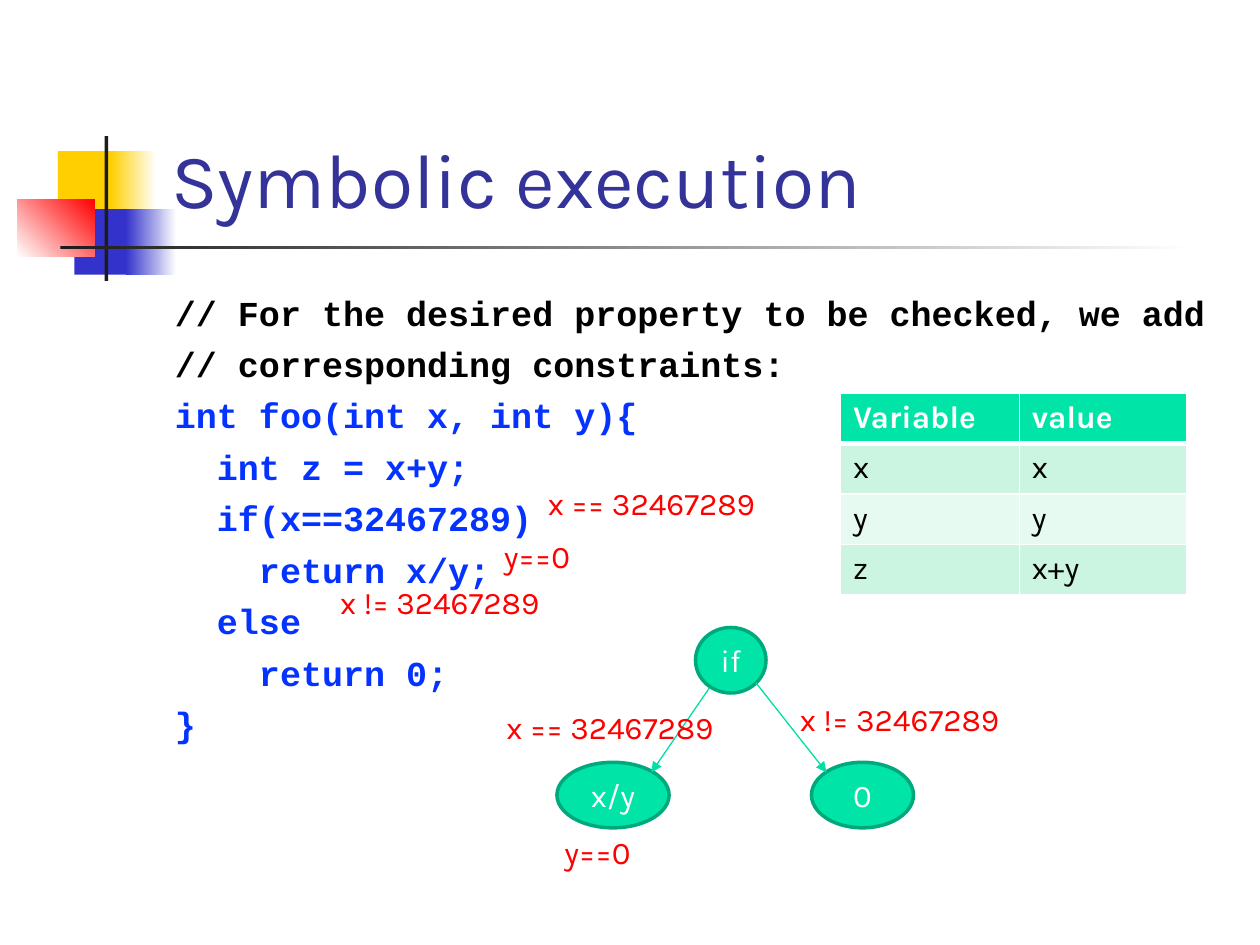
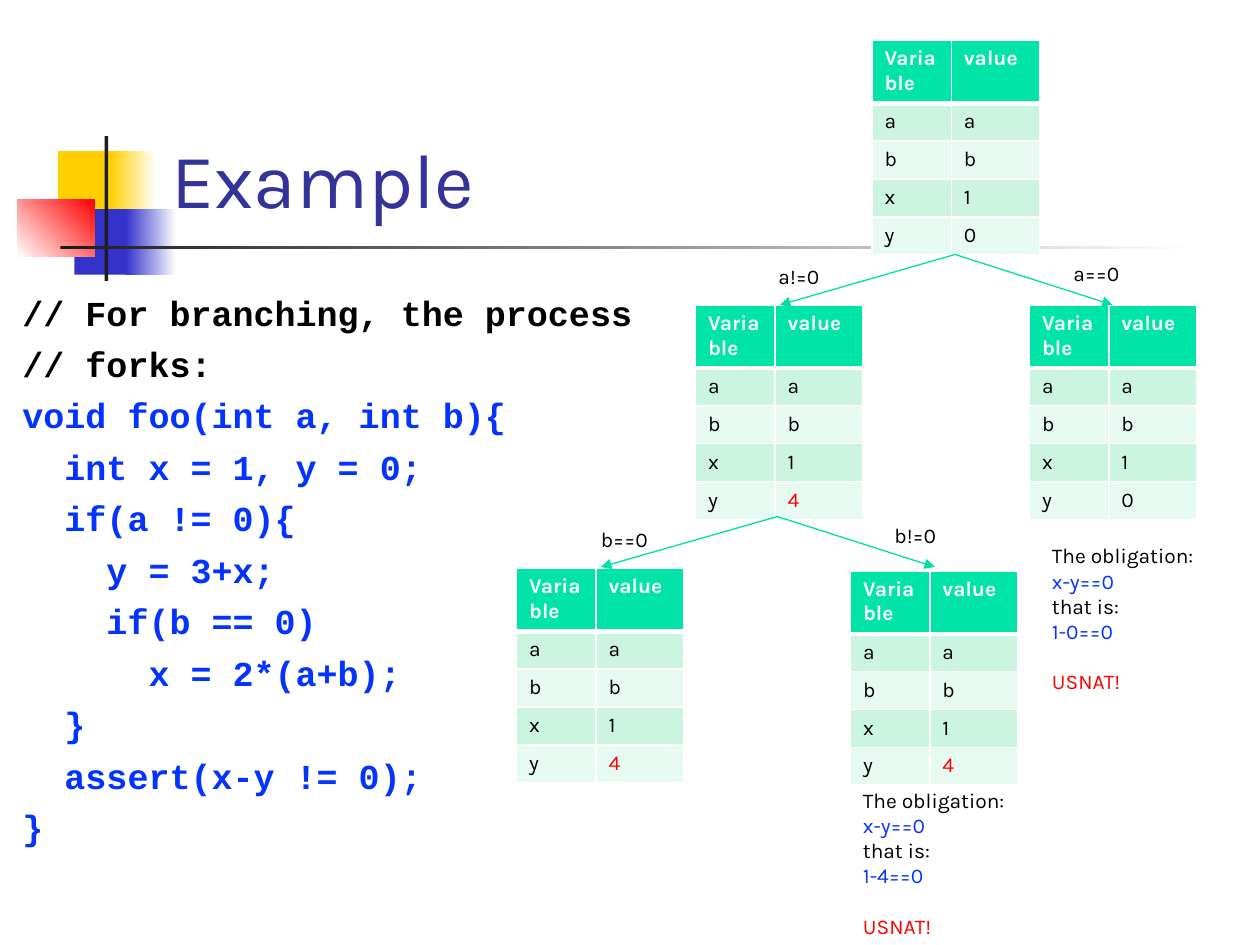
from dataclasses import dataclass

from lxml import etree
from pptx import Presentation
from pptx import util as u
from pptx.dml.color import RGBColor
from pptx.enum import shapes, text
from pptx.oxml.ns import qn


@dataclass(frozen=True)
class Theme:
    font: str = "Karla"
    code_font: str = "Courier New"
    title_size: float = 44
    code_size: float = 20
    large: float = 18
    small: float = 12
    code_gap: float = 5.4
    title: str = "333399"
    black: str = "000000"
    white: str = "FFFFFF"
    code: str = "0432FF"
    red: str = "FF0000"
    yellow: str = "FFCF01"
    blue: str = "3333CC"
    dark: str = "1C1C1C"
    green: str = "00E4A8"
    outline: str = "00A97C"
    arrow: str = "00DFA4"
    band: str = "CCF5E1"
    pale_band: str = "E7FAF1"


THEME = Theme()
ROW_HEIGHT = 0.3
STATE_COLUMNS = [0.63, 0.7]


def rgb(colour):
    return RGBColor.from_string(colour)


def inches(*lengths):
    return [u.Inches(length) for length in lengths]


def add_run(paragraph, words, size, colour, font=THEME.font, bold=False):
    run = paragraph.add_run()
    run.text = words
    run.font.name = font
    run.font.size = u.Pt(size)
    run.font.bold = bold
    run.font.color.rgb = rgb(colour)


def add_text(slide, box, lines, size, font=THEME.font, bold=False, gap=0):
    """Add a wrapped text box; lines holds (words, colour) pairs."""
    shape = slide.shapes.add_textbox(*inches(*box))
    frame = shape.text_frame
    frame.word_wrap = True
    for index, (words, colour) in enumerate(lines):
        paragraph = frame.add_paragraph() if index else frame.paragraphs[0]
        if index and gap:
            paragraph.space_before = u.Pt(gap)
        add_run(paragraph, words, size, colour, font, bold)
    return frame


def add_band(slide, box, start, end=None, angle=0):
    """Add a plain rectangle, or one fading from start to end."""
    shape = slide.shapes.add_shape(shapes.MSO_SHAPE.RECTANGLE, *inches(*box))
    shape.shadow.inherit = False
    shape.line.fill.background()
    if end is None:
        shape.fill.solid()
        shape.fill.fore_color.rgb = rgb(start)
        return
    shape.fill.gradient()
    shape.fill.gradient_angle = angle
    for stop, colour in zip(shape.fill.gradient_stops, (start, end)):
        stop.color.rgb = rgb(colour)


def add_titled_slide(presentation, title):
    slide = presentation.slides.add_slide(presentation.slide_layouts[6])
    add_band(slide, (0.46, 1.2, 0.48, 0.52), THEME.yellow)
    add_band(slide, (0.88, 1.2, 0.36, 0.52), THEME.yellow, THEME.white)
    add_band(slide, (0.59, 1.66, 0.46, 0.52), THEME.blue)
    add_band(slide, (1, 1.66, 0.4, 0.52), THEME.blue, THEME.white)
    add_band(slide, (0.14, 1.58, 0.61, 0.46), THEME.white, THEME.red, 45)
    add_band(slide, (0.83, 1.08, 0.03, 1.15), THEME.dark)
    add_band(slide, (0.48, 1.95, 9, 0.03), THEME.dark, THEME.white)
    frame = add_text(slide, (1.26, 0.23, 8.52, 1.6), [(title, THEME.title)],
                     THEME.title_size)
    frame.vertical_anchor = text.MSO_ANCHOR.BOTTOM
    return slide


def add_code(slide, left, listing):
    """Add a code listing with its comment lines in black."""
    lines = [(line, THEME.black if line.startswith("//") else THEME.code)
             for line in listing.strip().splitlines()]
    frame = add_text(slide, (left, 2.21, 8.5, 4.5), lines, THEME.code_size,
                     THEME.code_font, True, THEME.code_gap)
    frame.margin_top = u.Inches(0.1)


def add_label(slide, left, top, words, size, colour, width, height):
    frame = add_text(slide, (left, top, width, height), [(words, colour)], size)
    frame.auto_size = text.MSO_AUTO_SIZE.SHAPE_TO_FIT_TEXT


def add_constraint(slide, left, top, words):
    add_label(slide, left, top, words, THEME.large, THEME.red, 2.75, 0.4)


def add_branch_label(slide, left, top, words):
    add_label(slide, left, top, words, THEME.small, THEME.black, 1.25, 0.3)


def add_obligation(slide, left, top, result):
    lines = [("The obligation:", THEME.black), ("x-y==0", THEME.code),
             ("that is:", THEME.black), (result, THEME.code)]
    frame = add_text(slide, (left, top, 1.52, 0.91), lines, THEME.small)
    frame.auto_size = text.MSO_AUTO_SIZE.SHAPE_TO_FIT_TEXT
    add_label(slide, left, top + 1, "USNAT!", THEME.small, THEME.red, 1.52, 0.3)


def add_node(slide, box, words):
    shape = slide.shapes.add_shape(shapes.MSO_SHAPE.OVAL, *inches(*box))
    shape.shadow.inherit = False
    shape.fill.solid()
    shape.fill.fore_color.rgb = rgb(THEME.green)
    shape.line.color.rgb = rgb(THEME.outline)
    shape.line.width = u.Pt(2)
    shape.text_frame.vertical_anchor = text.MSO_ANCHOR.MIDDLE
    paragraph = shape.text_frame.paragraphs[0]
    paragraph.alignment = text.PP_ALIGN.CENTER
    add_run(paragraph, words, THEME.large, THEME.white)


def add_arrow(slide, start, end):
    connector = slide.shapes.add_connector(
        shapes.MSO_CONNECTOR.STRAIGHT, *inches(*start, *end))
    connector.line.color.rgb = rgb(THEME.arrow)
    connector.line.width = u.Pt(0.75)
    properties = connector.element.spPr
    etree.SubElement(properties.find(qn("a:ln")), qn("a:tailEnd"), type="triangle")
    etree.SubElement(properties, qn("a:effectLst"))


def set_borders(cell, row):
    """Draw white borders, thicker between the header and the first row."""
    top, bottom = (3 if row == 1 else 1), (3 if row == 0 else 1)
    properties = cell._tc.get_or_add_tcPr()
    for side, width in (("L", 1), ("R", 1), ("T", top), ("B", bottom)):
        line = etree.SubElement(properties, qn(f"a:ln{side}"), w=str(u.Pt(width)))
        fill = etree.SubElement(line, qn("a:solidFill"))
        etree.SubElement(fill, qn("a:srgbClr"), val=THEME.white)


def add_variables(slide, left, top, values, columns, heights, size, changed=()):
    """Add a table of variable values; those named in changed are red."""
    rows = [("Variable", "value"), *values.items()]
    header_height, row_height = heights
    total = header_height + row_height * len(values)
    table = slide.shapes.add_table(
        len(rows), 2, *inches(left, top, sum(columns), total)).table
    table.horz_banding = False
    for column, width in zip(table.columns, columns):
        column.width = u.Inches(width)
    for index, row in enumerate(rows):
        header = index == 0
        table.rows[index].height = u.Inches(header_height if header else row_height)
        band = THEME.band if index % 2 else THEME.pale_band
        for column, words in enumerate(row):
            cell = table.cell(index, column)
            set_borders(cell, index)
            cell.fill.solid()
            cell.fill.fore_color.rgb = rgb(THEME.green if header else band)
            colour = THEME.white if header else THEME.black
            if column == 1 and row[0] in changed:
                colour = THEME.red
            add_run(cell.text_frame.paragraphs[0], words, size, colour, bold=header)


def add_state(slide, left, top, y, changed=()):
    values = {"a": "a", "b": "b", "x": "1", "y": y}
    add_variables(slide, left, top, values, STATE_COLUMNS, (0.48, ROW_HEIGHT),
                  THEME.small, changed)


def build_symbolic_execution(presentation):
    slide = add_titled_slide(presentation, "Symbolic execution")
    add_code(slide, 1.29, """
// For the desired property to be checked, we add
// corresponding constraints:
int foo(int x, int y){
  int z = x+y;
  if(x==32467289)
    return x/y;
  else
    return 0;
}
""")
    add_variables(slide, 6.67, 3.12, {"x": "x", "y": "y", "z": "x+y"},
                  [1.42, 1.33], (0.4, 0.4), THEME.large)
    for box, words in (((5.52, 4.98, 0.56, 0.52), "if"),
                       ((4.42, 6.05, 0.89, 0.52), "x/y"),
                       ((6.44, 6.05, 0.81, 0.52), "0")):
        add_node(slide, box, words)
    add_arrow(slide, (5.63, 5.46), (5.17, 6.13))
    add_arrow(slide, (6, 5.42), (6.56, 6.13))
    for left, top, words in ((4.25, 3.79, "x == 32467289"),
                             (2.6, 4.58, "x != 32467289"),
                             (3.92, 5.57, "x == 32467289"),
                             (6.25, 5.51, "x != 32467289"),
                             (3.9, 4.21, "y==0"),
                             (4.38, 6.56, "y==0")):
        add_constraint(slide, left, top, words)


def build_forking_example(presentation):
    slide = add_titled_slide(presentation, "Example")
    add_code(slide, 0.08, """
// For branching, the process
// forks:
void foo(int a, int b){
  int x = 1, y = 0;
  if(a != 0){
    y = 3+x;
    if(b == 0)
      x = 2*(a+b);
  }
  assert(x-y != 0);
}
""")
    add_state(slide, 6.92, 0.32, "0")
    add_state(slide, 8.17, 2.42, "0")
    for left, top in ((5.52, 2.42), (4.1, 4.51), (6.75, 4.53)):
        add_state(slide, left, top, "4", changed=("y",))
    for fork, ends in (((7.58, 2.02), ((6.19, 2.42), (8.83, 2.42))),
                       ((6.17, 4.1), ((4.77, 4.5), (7.42, 4.5)))):
        for end in ends:
            add_arrow(slide, fork, end)
    for left, top, words in ((8.42, 2.02, "a==0"), (6.08, 2.04, "a!=0"),
                             (7, 4.1, "b!=0"), (4.67, 4.13, "b==0")):
        add_branch_label(slide, left, top, words)
    add_obligation(slide, 8.25, 4.26, "1-0==0")
    add_obligation(slide, 6.75, 6.2, "1-4==0")


def main():
    presentation = Presentation()
    presentation.slide_width = u.Inches(10)
    presentation.slide_height = u.Inches(7.5)
    build_symbolic_execution(presentation)
    build_forking_example(presentation)
    presentation.save("out.pptx")


if __name__ == "__main__":
    main()
